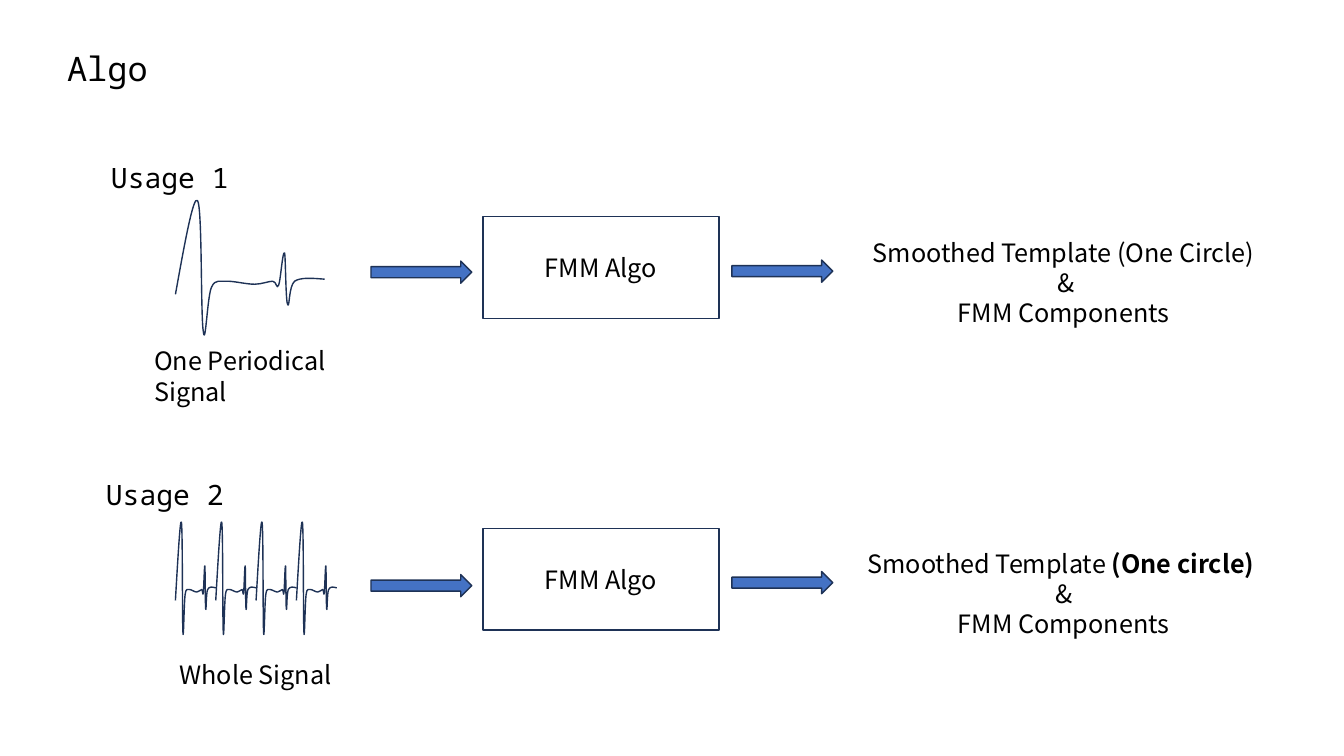
import pptx
import pptx.util
import pptx.dml.color
import pptx.oxml.ns
import pptx.enum.shapes
import pptx.enum.text
import lxml.etree

SCALE = 9144  # EMU in one px, at 100 px to the inch
SANS, MONO = "Noto Sans CJK SC", "Noto Sans Mono"
BLACK, NAVY, BLUE, WHITE = "000000", "1E3256", "4472C4", "FFFFFF"
ALIGN = pptx.enum.text.PP_ALIGN
ANCHOR = pptx.enum.text.MSO_ANCHOR
FIT = pptx.enum.text.MSO_AUTO_SIZE
SHAPE = pptx.enum.shapes.MSO_SHAPE

TITLE = ("Algo", (0, 43, 213, 50))
# Each line of text is a list of (words, bold) runs.
USAGES = [
    {
        "name": "Usage 1", "name_box": (62, 154, 213, 44),
        "signal": "One Periodical Signal", "signal_box": (143, 338, 255, 40),
        "align": ALIGN.LEFT,
        "waves": [(174, 199, 148, 134)],
        "algo_top": 215, "arrow_tops": (259, 258),
        "result_top": 230,
        "result": [[("Smoothed Template (One Circle)", False)],
                   [(" &", False)], [("FMM Components", False)]],
    },
    {
        "name": "Usage 2", "name_box": (57, 469, 213, 44),
        "signal": "Whole Signal", "signal_box": (126, 649, 255, 40),
        "align": ALIGN.CENTER,
        "waves": [(174 + 40 * beat, 518, 40, 112) for beat in range(4)],
        "algo_top": 524, "arrow_tops": (570, 567),
        "result_top": 539,
        "result": [[("Smoothed Template ", False), ("(One circle) ", True)],
                   [("&", False)], [("FMM Components", False)]],
    },
]
ARROW_LEFTS = (368, 726)

# One heartbeat in a field of 149 by 134: a start, then Bezier curves.
BEAT_SIZE = (149, 134)
BEAT_START = (0, 93)
BEAT_CURVES = [
    ((9, 43), (18, -6), (22, 0)),
    ((27, 6), (25, 117), (28, 131)),
    ((30, 145), (32, 94), (36, 86)),
    ((40, 77), (45, 81), (52, 80)),
    ((59, 80), (71, 83), (79, 83)),
    ((86, 83), (93, 80), (97, 80)),
    ((101, 80), (101, 89), (103, 84)),
    ((105, 80), (107, 49), (109, 52)),
    ((110, 55), (110, 99), (112, 103)),
    ((114, 108), (113, 85), (119, 80)),
    ((125, 76), (137, 77), (149, 78)),
]


def color(code):
    return pptx.dml.color.RGBColor.from_string(code)


def place(shape, box):
    shape.left, shape.top, shape.width, shape.height = (
        SCALE * side for side in box)


def write(shape, lines, size=18, font=SANS, align=ALIGN.CENTER,
          anchor=ANCHOR.TOP, fit=FIT.SHAPE_TO_FIT_TEXT):
    """Fill a shape with a string or with lines of (words, bold) runs."""
    if isinstance(lines, str):
        lines = [[(lines, False)]]
    frame = shape.text_frame
    frame.word_wrap = True
    frame.auto_size = fit
    frame.vertical_anchor = anchor
    for row, runs in enumerate(lines):
        par = frame.add_paragraph() if row else frame.paragraphs[0]
        par.alignment = align
        for words, bold in runs:
            run = par.add_run()
            run.text = words
            run.font.name = font
            run.font.size = pptx.util.Pt(size)
            run.font.bold = bold
            run.font.color.rgb = color(BLACK)


def label(slide, box, lines, **style):
    shape = slide.shapes.add_textbox(0, 0, 0, 0)
    place(shape, box)
    write(shape, lines, **style)


def outline(shape):
    shape.shadow.inherit = False
    shape.line.color.rgb = color(NAVY)
    shape.line.width = pptx.util.Pt(1)


def block(slide, kind, box, fill):
    shape = slide.shapes.add_shape(kind, *(SCALE * side for side in box))
    shape.fill.solid()
    shape.fill.fore_color.rgb = color(fill)
    outline(shape)
    return shape


def bend(shape):
    """Turn each straight segment of a heartbeat into its Bezier curve."""
    tag = pptx.oxml.ns.qn
    track = next(shape.element.iter(tag("a:path")))
    for key, side in zip("wh", BEAT_SIZE):
        track.set(key, str(side))
    for part in list(track):
        track.remove(part)
    steps = [("a:moveTo", [BEAT_START])]
    steps += [("a:cubicBezTo", curve) for curve in BEAT_CURVES]
    for name, points in steps:
        step = lxml.etree.SubElement(track, tag(name))
        for x, y in points:
            lxml.etree.SubElement(step, tag("a:pt"), x=str(x), y=str(y))


def wave(slide, box):
    draft = slide.shapes.build_freeform(*BEAT_START, scale=SCALE)
    draft.add_line_segments([curve[-1] for curve in BEAT_CURVES], close=False)
    shape = draft.convert_to_shape()
    bend(shape)
    place(shape, box)
    shape.fill.background()
    outline(shape)


def main():
    deck = pptx.Presentation()
    deck.slide_width, deck.slide_height = 1333 * SCALE, 750 * SCALE
    slide = deck.slides.add_slide(deck.slide_layouts[5])
    words, box = TITLE
    place(slide.shapes.title, box)
    write(slide.shapes.title, words, size=24, font=MONO)
    for usage in USAGES:
        label(slide, usage["name_box"], usage["name"], size=20, font=MONO)
        for box in usage["waves"]:
            wave(slide, box)
        label(slide, usage["signal_box"], usage["signal"],
              align=usage["align"])
        algo = block(slide, SHAPE.RECTANGLE,
                     (479, usage["algo_top"], 234, 101), WHITE)
        write(algo, "FMM Algo", anchor=ANCHOR.MIDDLE, fit=FIT.NONE)
        for left, top in zip(ARROW_LEFTS, usage["arrow_tops"]):
            block(slide, SHAPE.RIGHT_ARROW, (left, top, 100, 22), BLUE)
        label(slide, (826, usage["result_top"], 458, 101), usage["result"])
    deck.save("out.pptx")


if __name__ == "__main__":
    main()
